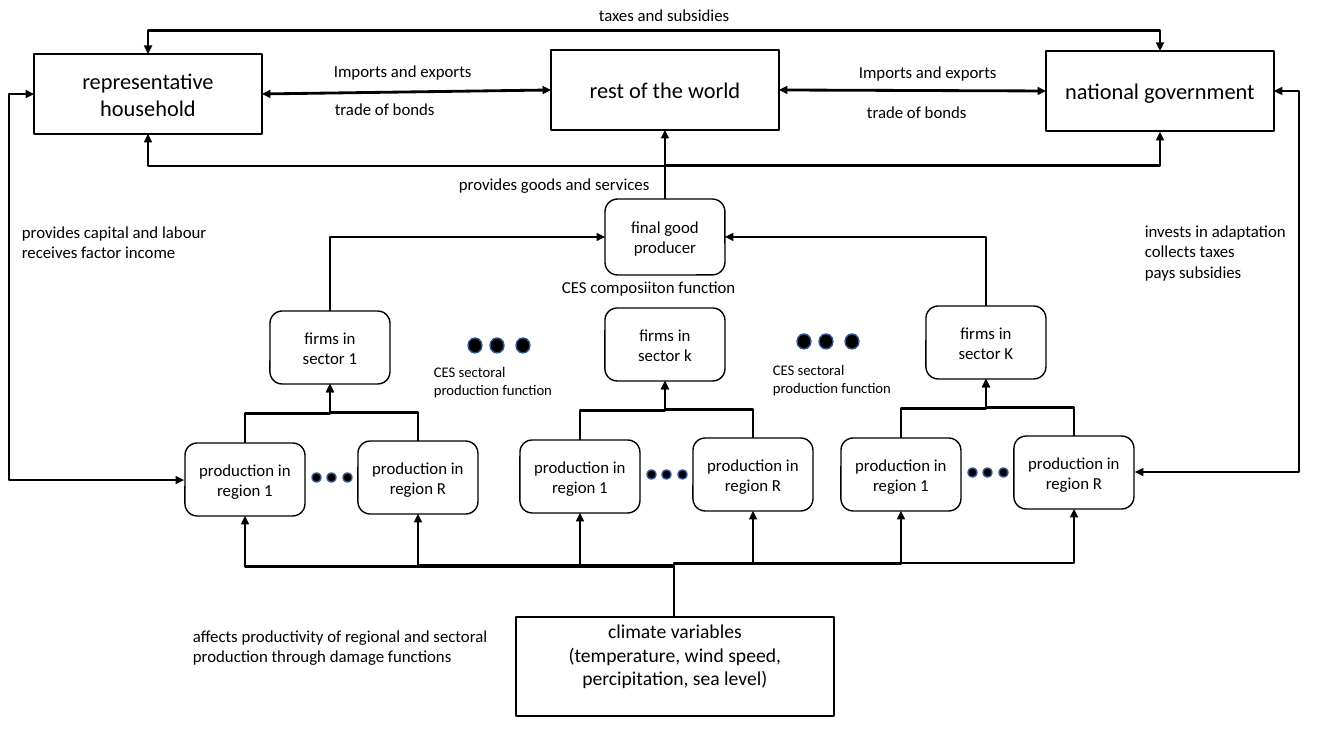
"""Build a slide showing the agents, flows and production levels of a regional climate economy."""
from dataclasses import dataclass
from typing import Optional

from lxml import etree
from pptx import Presentation
from pptx.dml.color import RGBColor
from pptx.enum.shapes import MSO_CONNECTOR, MSO_SHAPE
from pptx.enum.text import MSO_ANCHOR, MSO_AUTO_SIZE, PP_ALIGN
from pptx.oxml.ns import qn
from pptx.util import Emu, Pt

STRAIGHT, ELBOW = MSO_CONNECTOR.STRAIGHT, MSO_CONNECTOR.ELBOW
RECTANGLE, ROUNDED, OVAL = MSO_SHAPE.RECTANGLE, MSO_SHAPE.ROUNDED_RECTANGLE, MSO_SHAPE.OVAL
TOP, MIDDLE = MSO_ANCHOR.TOP, MSO_ANCHOR.MIDDLE
LEFT, CENTER = PP_ALIGN.LEFT, PP_ALIGN.CENTER
FIT_SHAPE = MSO_AUTO_SIZE.SHAPE_TO_FIT_TEXT

EMU_PER_PX = 914400 / 100.8
FONT = "Calibri"
BLACK, DOT_EDGE = "000000", "325491"
NODE_WIDTH, NODE_HEIGHT = 120, 73
TOP_SIDE, LEFT_SIDE, BOTTOM_SIDE, RIGHT_SIDE = range(4)


@dataclass
class Box:
    text: str
    left: int
    top: int
    width: int = NODE_WIDTH
    height: int = NODE_HEIGHT
    kind: int = ROUNDED
    size: float = 12
    anchor: int = MIDDLE
    inset: int = 5


@dataclass
class Label:
    text: str
    left: int
    top: int
    width: int
    height: int = 30
    size: float = 12
    wrap: bool = False


@dataclass
class Elbow:
    start: tuple[int, int]
    end: tuple[int, int]
    bend: Optional[int] = None
    vertical: bool = True
    single: bool = False
    both_ways: bool = False


@dataclass
class Sector:
    name: str
    left: int
    top: int


AGENTS = {
    "household": Box("representative household", 34, 54, 228, 80, RECTANGLE, 16),
    "world": Box("rest of the world", 551, 50, 228, 80, RECTANGLE, 16),
    "government": Box("national government", 1046, 51, 228, 80, RECTANGLE, 16),
    "producer": Box("final good producer", 605, 199, height=76),
    "climate": Box("climate variables\n(temperature, wind speed,\npercipitation, sea level)",
                   516, 617, 318, 99, RECTANGLE, 14, TOP, 2),
}
STRAIGHT_LINKS = [
    ("household", RIGHT_SIDE, "world", LEFT_SIDE, True),
    ("world", RIGHT_SIDE, "government", LEFT_SIDE, True),
    ("producer", TOP_SIDE, "world", BOTTOM_SIDE, False),
]
SECTORS = [Sector("1", 270, 311), Sector("k", 605, 308), Sector("K", 926, 306)]
ELBOWS = [
    Elbow((665, 199), (148, 134), 166),
    Elbow((665, 199), (1160, 132), 166),
    Elbow((148, 54), (1160, 51), 31, both_ways=True),
    Elbow((1274, 91), (1135, 472), 1299, vertical=False, both_ways=True),
    Elbow((34, 94), (184, 480), 9, vertical=False, both_ways=True),
    Elbow((330, 311), (605, 237), single=True),
    Elbow((986, 306), (725, 237), single=True),
]
SECTORAL = "CES sectoral production function"
LABELS = [
    Label("affects productivity of regional and sectoral production through damage functions",
          183, 621, 331, 50, wrap=True),
    Label(SECTORAL, 763, 356, 158, 45, 10.5, True),
    Label(SECTORAL, 424, 358, 158, 45, 10.5, True),
    Label("Imports and exports", 324, 56, 159),
    Label("trade of bonds", 325, 94, 121),
    Label("trade of bonds", 857, 97, 121),
    Label("Imports and exports", 849, 57, 159),
    Label("taxes and subsidies", 589, 0, 152),
    Label("provides goods and services", 449, 169, 213),
    Label("CES composiiton function", 552, 272, 196),
    Label("invests in adaptation\ncollects taxes\npays subsidies", 1135, 216, 162, 72),
    Label("provides capital and labour\nreceives factor income", 12, 217, 207, 50),
]


def px(length: float) -> Emu:
    """Turn pixels into EMU."""
    return Emu(round(length * EMU_PER_PX))


def rgb(code: str) -> RGBColor:
    """Turn a hex string into a colour."""
    return RGBColor.from_string(code)


def write(shape, text: str, *, size: float, align=LEFT, anchor=TOP, wrap=True, inset=5) -> None:
    """Write one paragraph per line of text into a shape."""
    frame = shape.text_frame
    frame.word_wrap = wrap
    frame.vertical_anchor = anchor
    frame.margin_top = px(inset)
    for index, line in enumerate(text.split("\n")):
        para = frame.paragraphs[0] if index == 0 else frame.add_paragraph()
        para.alignment = align
        span = para.add_run()
        span.text = line
        span.font.name, span.font.size = FONT, Pt(size)
        span.font.color.rgb = rgb(BLACK)


def draw_box(page, box: Box):
    """Draw an outlined box with centred text."""
    shape = page.shapes.add_shape(box.kind, px(box.left), px(box.top),
                                  px(box.width), px(box.height))
    shape.shadow.inherit = False
    shape.fill.background()
    shape.line.color.rgb, shape.line.width = rgb(BLACK), Pt(1)
    write(shape, box.text, size=box.size, align=CENTER, anchor=box.anchor, inset=box.inset)
    return shape


def draw_label(page, label: Label) -> None:
    """Draw a text box."""
    shape = page.shapes.add_textbox(px(label.left), px(label.top),
                                    px(label.width), px(label.height))
    write(shape, label.text, size=label.size, wrap=label.wrap)
    shape.text_frame.auto_size = FIT_SHAPE


def draw_dots(page, left: int, top: int, offsets: tuple[int, ...], width: int, height: int) -> None:
    """Draw a row of dots standing for omitted items."""
    for offset in offsets:
        dot = page.shapes.add_shape(OVAL, px(left + offset), px(top), px(width), px(height))
        dot.shadow.inherit = False
        dot.fill.solid()
        dot.fill.fore_color.rgb = rgb(BLACK)
        dot.line.color.rgb, dot.line.width = rgb(DOT_EDGE), Pt(1)


def style_arrow(connector, both_ways: bool) -> None:
    """Give a connector its line, arrowheads and no shadow."""
    connector.line.color.rgb, connector.line.width = rgb(BLACK), Pt(2)
    properties = connector.element.spPr
    line = properties.find(qn("a:ln"))
    for tag in ("a:headEnd", "a:tailEnd") if both_ways else ("a:tailEnd",):
        etree.SubElement(line, qn(tag), type="triangle")
    etree.SubElement(properties, qn("a:effectLst"))


def draw_elbow(page, elbow: Elbow) -> None:
    """Draw a bent arrow that leaves upwards if vertical, else sideways."""
    (x1, y1), (x2, y2) = elbow.start, elbow.end
    corners = (x1, y1, x2, y2)
    if elbow.vertical:
        middle_x, middle_y = (x1 + x2) / 2, (y1 + y2) / 2
        half_width, half_height = abs(y2 - y1) / 2, abs(x2 - x1) / 2
        corners = (middle_x - half_width, middle_y - half_height,
                   middle_x + half_width, middle_y + half_height)
    connector = page.shapes.add_connector(ELBOW, *map(px, corners))
    properties = connector.element.spPr
    if elbow.vertical:
        frame = properties.find(qn("a:xfrm"))
        frame.set("rot", "5400000" if x2 > x1 else "16200000")
        frame.set("flipV", "1")
        if x2 > x1:
            frame.set("flipH", "1")
    geometry = properties.find(qn("a:prstGeom"))
    if elbow.single:
        geometry.set("prst", "bentConnector2")
    elif elbow.bend is not None:
        first, last = (y1, y2) if elbow.vertical else (x1, x2)
        share = round((elbow.bend - first) / (last - first) * 100000)
        guides = geometry.find(qn("a:avLst"))
        etree.SubElement(guides, qn("a:gd"), name="adj1", fmla=f"val {share}")
    style_arrow(connector, elbow.both_ways)


def draw_sector(page, sector: Sector) -> None:
    """Draw a sector's firms, its regional producers and the arrows into them."""
    firms = Box(f"firms in sector {sector.name}", sector.left, sector.top)
    draw_box(page, firms)
    center = NODE_WIDTH // 2
    for region, shift, drop in (("1", -85, 132), ("R", 88, 130)):
        node = Box(f"production in region {region}", firms.left + shift, firms.top + drop)
        draw_box(page, node)
        middle = node.left + center
        draw_elbow(page, Elbow((middle, node.top), (firms.left + center, firms.top + NODE_HEIGHT)))
        draw_elbow(page, Elbow((674, 617), (middle, node.top + NODE_HEIGHT)))
    draw_dots(page, firms.left + 42, firms.top + 162, (0, 15, 31), 9, 9)


def main() -> None:
    """Build and save the deck."""
    deck = Presentation()
    deck.slide_width, deck.slide_height = px(1344), px(756)
    page = deck.slides.add_slide(deck.slide_layouts[6])
    agents = {name: draw_box(page, box) for name, box in AGENTS.items()}
    for source, source_side, target, target_side, both_ways in STRAIGHT_LINKS:
        link = page.shapes.add_connector(STRAIGHT, 0, 0, 0, 0)
        link.begin_connect(agents[source], source_side)
        link.end_connect(agents[target], target_side)
        style_arrow(link, both_ways)
    for sector in SECTORS:
        draw_sector(page, sector)
    for elbow in ELBOWS:
        draw_elbow(page, elbow)
    for left, top in ((468, 338), (797, 334)):
        draw_dots(page, left, top, (0, 22, 48), 14, 15)
    for label in LABELS:
        draw_label(page, label)
    deck.save("out.pptx")


if __name__ == "__main__":
    main()
